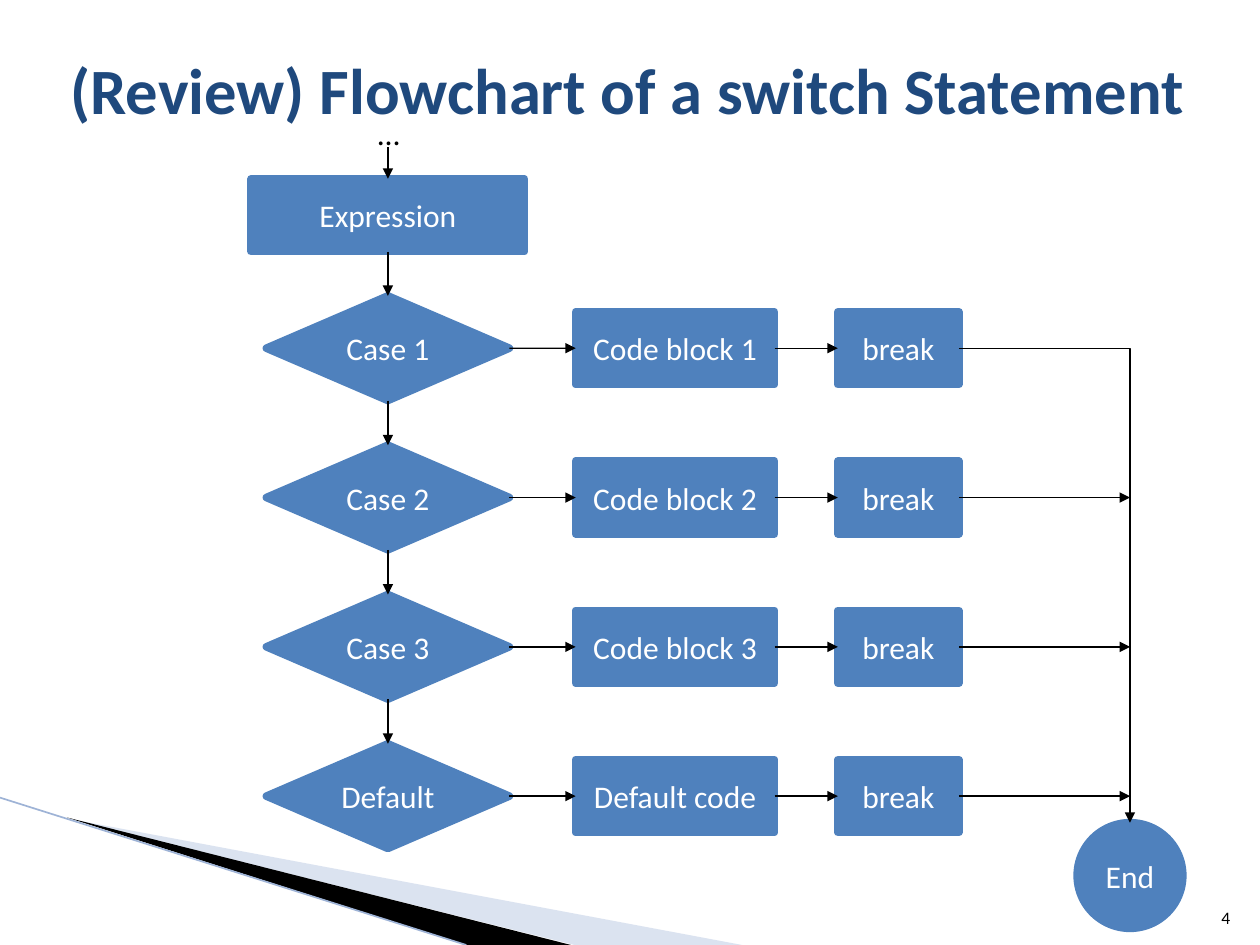
from lxml import etree
from pptx import Presentation
from pptx.dml.color import RGBColor
from pptx.enum import shapes, text
from pptx.oxml.ns import qn
from pptx.util import Cm, Pt

# Content
TITLE = "(Review) Flowchart of a switch Statement"
ENTRY = "…"
EXPRESSION = "Expression"
BRANCHES = [
    ("Case 1", "Code block 1", "break"),
    ("Case 2", "Code block 2", "break"),
    ("Case 3", "Code block 3", "break"),
    ("Default", "Default code", "break"),
]
END = "End"
PAGE = "4"

FONT = "Calibri"
COLORS = {"title": "1F497D", "node": "4F81BD", "white": "FFFFFF",
          "black": "000000", "pale": "A7B9DB", "edge": "9EB3D6"}

# Grid in centimetres: column centres, first row centre and row pitch
CASE_X, CODE_X, BREAK_X, END_X = 7.82, 13.61, 18.11, 22.78
ROW_Y, PITCH = 7.02, 3.01
EXPRESSION_Y, END_Y = 4.34, 17.65
CASE_SIZE, CODE_SIZE, BREAK_SIZE = (4.9, 2.11), (4.01, 1.47), (2.44, 1.47)
EXPRESSION_SIZE, END_SIZE = (5.51, 1.47), (2.13, 2.13)
TOP, LEFT, BOTTOM, RIGHT = range(4)  # connection sites

# Corner decoration, points in centimetres
WEDGES = [
    ("pale", 40, [(1.4, 16.51), (14.96, 19.05), (11.58, 19.05)]),
    ("black", 100, [(1.35, 16.48), (11.51, 19.05), (9.4, 19.05)]),
]
EDGE = (0, 16.08, 9.4, 19.05)

prs = Presentation()
prs.slide_width, prs.slide_height = Cm(25.4), Cm(19.05)
slide = prs.slides.add_slide(prs.slide_layouts[6])


def rgb(name):
    return RGBColor.from_string(COLORS[name])


def write(frame, words, size, color, align=text.PP_ALIGN.LEFT,
          anchor=text.MSO_ANCHOR.MIDDLE, bold=False, wrap=True):
    frame.word_wrap = wrap
    frame.vertical_anchor = anchor
    paragraph = frame.paragraphs[0]
    paragraph.alignment = align
    run = paragraph.add_run()
    run.text = words
    run.font.name, run.font.size, run.font.bold = FONT, Pt(size), bold
    run.font.color.rgb = rgb(color)


def label(box, *args, **kwargs):
    write(slide.shapes.add_textbox(*map(Cm, box)).text_frame, *args, **kwargs)


def node(kind, center_x, center_y, size, words):
    width, height = size
    shape = slide.shapes.add_shape(
        kind, Cm(center_x - width / 2), Cm(center_y - height / 2), Cm(width), Cm(height))
    shape.shadow.inherit = False
    shape.fill.solid()
    shape.fill.fore_color.rgb = shape.line.color.rgb = rgb("node")
    shape.line.width = Pt(4.33)
    write(shape.text_frame, words, 18, "white", text.PP_ALIGN.CENTER)
    return shape


def line(ends=(0, 0, 0, 0), color="black", width=0.75, arrow=True,
         kind=shapes.MSO_CONNECTOR.STRAIGHT):
    connector = slide.shapes.add_connector(kind, *map(Cm, ends))
    connector.line.color.rgb = rgb(color)
    connector.line.width = Pt(width)
    if arrow:
        etree.SubElement(connector.line._get_or_add_ln(), qn("a:tailEnd"), type="triangle")
    etree.SubElement(connector._element.spPr, qn("a:effectLst"))
    return connector


def join(start, start_site, finish, finish_site, **kwargs):
    connector = line(**kwargs)
    connector.begin_connect(start, start_site)
    connector.end_connect(finish, finish_site)
    return connector


# Corner decoration
for color, opacity, points in WEDGES:
    corners = [(Cm(x), Cm(y)) for x, y in points]
    builder = slide.shapes.build_freeform(*corners[0])
    builder.add_line_segments(corners[1:], close=True)
    wedge = builder.convert_to_shape()
    wedge.shadow.inherit = False
    wedge.fill.solid()
    wedge.fill.fore_color.rgb = rgb(color)
    wedge.line.fill.background()
    if opacity < 100:
        fill_color = wedge._element.spPr.find(".//" + qn("a:srgbClr"))
        etree.SubElement(fill_color, qn("a:alpha"), val=str(opacity * 1000))
line(EDGE, "edge", 0.95, arrow=False)

# Page number and title
label((24.03, 17.81, 1.02, 1.02), PAGE, 10, "black",
      text.PP_ALIGN.RIGHT, text.MSO_ANCHOR.BOTTOM)
label((1.17, 0.2, 24.23, 3.18), TITLE, 36.9, "title", bold=True)

# Nodes
RECT = shapes.MSO_SHAPE.RECTANGLE
expression = node(RECT, CASE_X, EXPRESSION_Y, EXPRESSION_SIZE, EXPRESSION)
end = node(shapes.MSO_SHAPE.OVAL, END_X, END_Y, END_SIZE, END)
rows = []
for i, (case, code, stop) in enumerate(BRANCHES):
    y = ROW_Y + i * PITCH
    rows.append((node(shapes.MSO_SHAPE.DIAMOND, CASE_X, y, CASE_SIZE, case),
                 node(RECT, CODE_X, y, CODE_SIZE, code),
                 node(RECT, BREAK_X, y, BREAK_SIZE, stop)))

# Arrows: down through the cases, across each row, then to the end
line((CASE_X, 2.97, CASE_X, EXPRESSION_Y - EXPRESSION_SIZE[1] / 2))
above = expression
for i, (case, code, stop) in enumerate(rows):
    join(above, BOTTOM, case, TOP)
    join(case, RIGHT, code, LEFT)
    join(code, RIGHT, stop, LEFT)
    if i == 0:
        spine = join(stop, RIGHT, end, TOP, kind=shapes.MSO_CONNECTOR.ELBOW)
        spine._element.spPr.find(qn("a:prstGeom")).set("prst", "bentConnector2")
    else:
        y = ROW_Y + i * PITCH
        exit_arrow = line((BREAK_X + BREAK_SIZE[0] / 2, y, END_X, y))
        exit_arrow.begin_connect(stop, RIGHT)
    above = case

# Entry mark
label((7.37, 2.18, 0.97, 1.02), ENTRY, 18, "black",
      anchor=text.MSO_ANCHOR.TOP, wrap=False)

prs.save("out.pptx")
